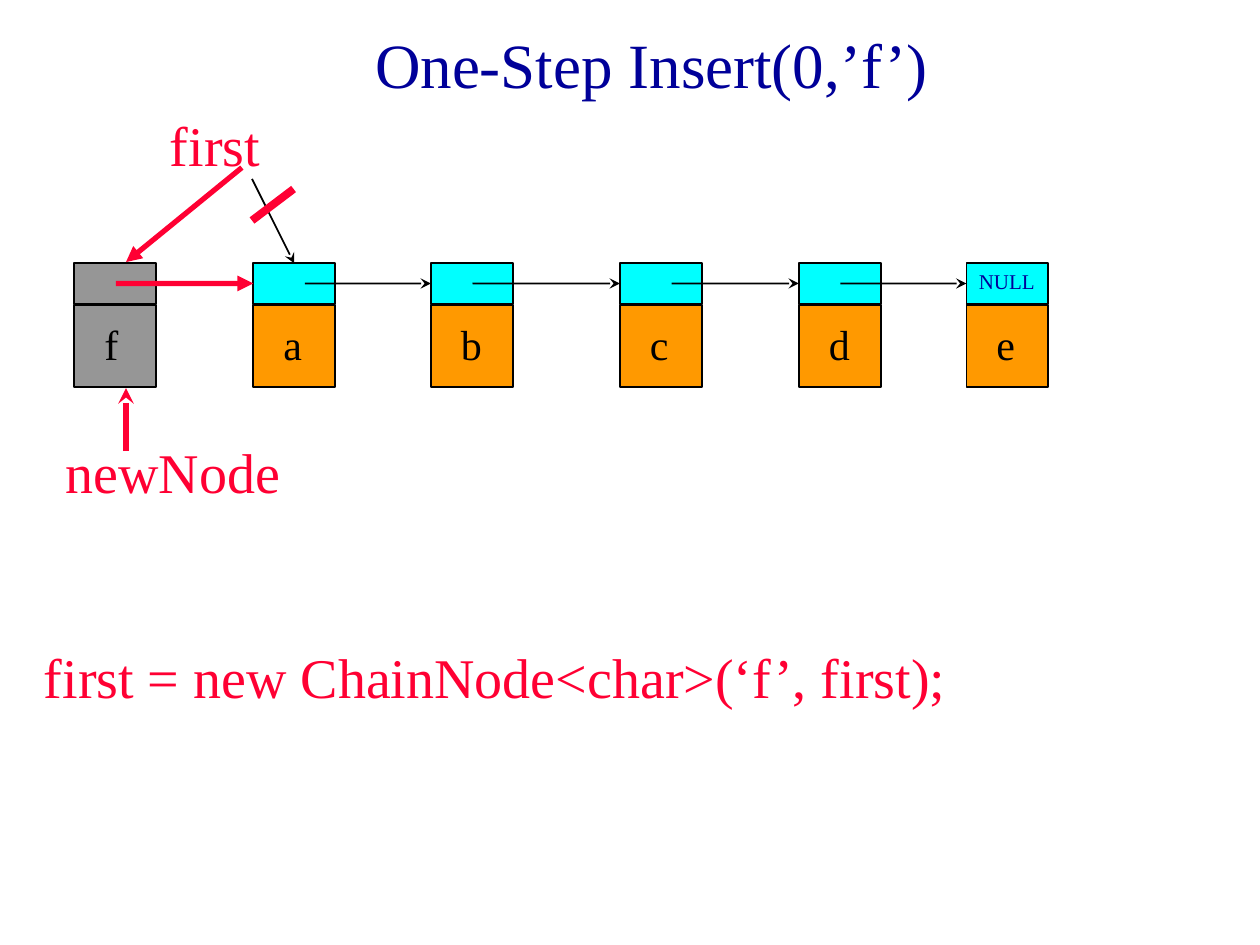
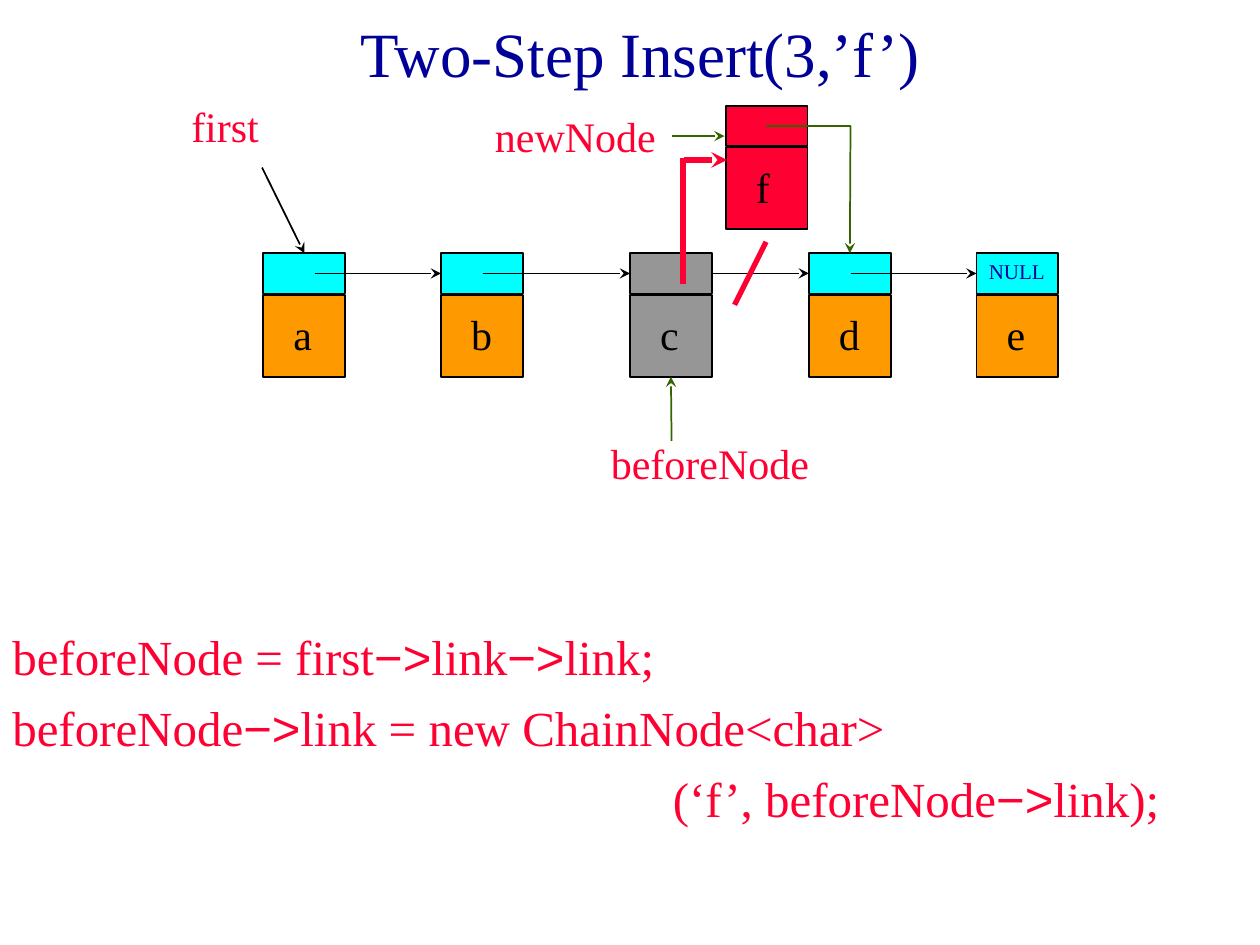
from dataclasses import dataclass
from typing import Optional

import pptx
import pptx.dml.color
import pptx.enum.shapes
import pptx.enum.text
import pptx.util
from lxml import etree
from pptx.oxml.ns import qn

Inches = pptx.util.Inches
Point = tuple[float, float]


@dataclass(frozen=True)
class Theme:
    font: str = "Times New Roman"
    arrow_font: str = "Arial"
    navy: str = "000099"
    red: str = "FF0033"
    black: str = "000000"
    green: str = "336600"
    orange: str = "FF9900"
    cyan: str = "00FFFF"
    grey: str = "969696"
    title_size: float = 36
    large: float = 32
    code: float = 28
    medium: float = 24
    small: float = 12
    thin: float = 1
    thick: float = 3
    strike: float = 4.5


THEME = Theme()
LINK_SIGN = "−>"
CELL_WIDTH = 0.65
LINK_HEIGHT = 0.32
DATA_OFFSET = 0.33


@dataclass(frozen=True)
class Node:
    letter: str
    left: float
    link_start: float = 0.33  # where the outgoing link begins, from the left side
    data_fill: str = THEME.orange
    link_fill: str = THEME.cyan


@dataclass(frozen=True)
class Line:
    start: Point
    end: Point
    color: str = THEME.black
    width: float = THEME.thin
    head: Optional[str] = None


CHAIN = (
    Node("a", 2.01, 0.41),
    Node("b", 3.42),
    Node("c", 4.92, 0.41),
    Node("d", 6.34),
    Node("e", 7.67),
)


def rgb(color: str) -> pptx.dml.color.RGBColor:
    return pptx.dml.color.RGBColor.from_string(color)


def add_text(page, text: str, left: float, top: float, width: float, height: float, *,
             size: float, color: str = THEME.red, align: str = "LEFT",
             anchor: str = "TOP", wrap: bool = True, space_before: float = 0):
    """Write one paragraph per line, with link signs in the arrow font."""
    box = page.shapes.add_textbox(Inches(left), Inches(top), Inches(width), Inches(height))
    frame = box.text_frame
    frame.word_wrap = wrap
    frame.vertical_anchor = pptx.enum.text.MSO_ANCHOR[anchor]
    for index, line in enumerate(text.split("\n")):
        para = frame.add_paragraph() if index else frame.paragraphs[0]
        para.alignment = pptx.enum.text.PP_ALIGN[align]
        if index:
            para.space_before = pptx.util.Pt(space_before)
        for position, part in enumerate(line.split(LINK_SIGN)):
            pieces = [(part, THEME.font)]
            if position:
                pieces.insert(0, (LINK_SIGN, THEME.arrow_font))
            for words, font in pieces:
                span = para.add_run()
                span.text = words
                span.font.name = font
                span.font.size = pptx.util.Pt(size)
                span.font.color.rgb = rgb(color)
    return box


def add_line(page, line: Line):
    ends = [Inches(value) for value in (*line.start, *line.end)]
    connector = page.shapes.add_connector(pptx.enum.shapes.MSO_CONNECTOR.STRAIGHT, *ends)
    connector.line.color.rgb = rgb(line.color)
    connector.line.width = pptx.util.Pt(line.width)
    if line.head:
        outline = connector.line._get_or_add_ln()
        etree.SubElement(outline, qn("a:tailEnd")).set("type", line.head)
    etree.SubElement(connector._element.spPr, qn("a:effectLst"))
    return connector


def add_cell(page, left: float, top: float, height: float, fill: str):
    cell = page.shapes.add_shape(pptx.enum.shapes.MSO_SHAPE.RECTANGLE, Inches(left),
                                 Inches(top), Inches(CELL_WIDTH), Inches(height))
    cell.shadow.inherit = False
    cell.fill.solid()
    cell.fill.fore_color.rgb = rgb(fill)
    cell.line.color.rgb = rgb(THEME.black)
    cell.line.width = pptx.util.Pt(THEME.thin)
    return cell


def add_node(page, node: Node, top: float):
    """Draw a node and return its link cell and its data cell."""
    data = add_cell(page, node.left, top + DATA_OFFSET, CELL_WIDTH, node.data_fill)
    link = add_cell(page, node.left, top, LINK_HEIGHT, node.link_fill)
    add_text(page, node.letter, node.left + 0.14, top + 0.39, 0.35, 0.5,
             size=THEME.medium, color=THEME.black, wrap=False)
    return link, data


def add_chain(page, top: float, shift: float = 0, before: str = ""):
    """Draw the linked nodes, with the node named by before in grey."""
    nodes, cells = [], {}
    for base in CHAIN:
        fills = (THEME.grey, THEME.grey) if base.letter == before else (base.data_fill, base.link_fill)
        node = Node(base.letter, base.left + shift, base.link_start, *fills)
        nodes.append(node)
        cells[node.letter] = add_node(page, node, top)
    middle = top + LINK_HEIGHT / 2
    for node, target in zip(nodes, nodes[1:]):
        arrow = add_line(page, Line((node.left + node.link_start, middle),
                                    (target.left, middle), head="stealth"))
        if node.letter == before:
            arrow.begin_connect(cells[node.letter][0], 3)
        arrow.end_connect(cells[target.letter][0], 1)
    add_text(page, "NULL", nodes[-1].left, top - 0.01, 0.67, 0.3,
             size=THEME.small, color=THEME.navy)
    return cells


def add_page(deck, title: str, left: float, height: float):
    page = deck.slides.add_slide(deck.slide_layouts[6])
    add_text(page, title, left, 0, 8.5, height, size=THEME.title_size,
             color=THEME.navy, align="CENTER", anchor="MIDDLE")
    return page


def build_one_step(deck) -> None:
    page = add_page(deck, "One-Step Insert(0,’f’)", 0.92, 1)
    top = 2.09
    cells = add_chain(page, top)
    add_text(page, "first", 1.25, 0.83, 2, 0.63, size=THEME.large)
    first_arrow = add_line(page, Line((2, 1.42), (2.33, top), head="stealth"))
    first_arrow.end_connect(cells["a"][0], 0)

    add_node(page, Node("f", 0.59, data_fill=THEME.grey, link_fill=THEME.grey), top)
    new_link = add_line(page, Line((0.92, 2.25), (2, 2.25), THEME.red, THEME.thick, "triangle"))
    new_link.end_connect(cells["a"][0], 1)
    add_text(page, "newNode", 0.42, 3.42, 2, 0.63, size=THEME.large)
    for line in (
        Line((1, 3.58), (1, 3.08), THEME.red, THEME.thick, "stealth"),
        Line((2.33, 1.5), (2, 1.75), THEME.red, THEME.strike),
        Line((1.92, 1.33), (1, 2.08), THEME.red, THEME.thick, "triangle"),
    ):
        add_line(page, line)
    add_text(page, "first = new ChainNode<char>(‘f’, first);", 0.25, 5.05, 9.5, 0.63,
             size=THEME.large)


def build_two_step(deck) -> None:
    page = add_page(deck, "Two-Step Insert(3,’f’)", 0.83, 0.83)
    code = "\n".join((
        "beforeNode = first−>link−>link;",
        "beforeNode−>link = new ChainNode<char>",
        " " * 54 + "(‘f’, beforeNode−>link);",
    ))
    add_text(page, code, 0, 4.92, 10, 2.26, size=THEME.code, space_before=7)

    top = 2.01
    cells = add_chain(page, top, shift=0.08, before="c")
    add_node(page, Node("f", 5.76, data_fill=THEME.red, link_fill=THEME.red), 0.84)
    for label, left, label_top, width in (
        ("first", 1.42, 0.75, 1.83),
        ("newNode", 3.83, 0.83, 1.67),
        ("beforeNode", 4.75, 3.42, 2),
    ):
        add_text(page, label, left, label_top, width, 0.5, size=THEME.medium)

    link_a, link_d, data_c = cells["a"][0], cells["d"][0], cells["c"][1]
    for line, target, side in (
        (Line((2.08, 1.33), (2.42, top), head="stealth"), link_a, 0),
        (Line((6.75, 1), (6.75, top), THEME.green, head="stealth"), link_d, 0),
        (Line((5.33, 3.5), (5.33, 3), THEME.green, head="stealth"), data_c, 2),
    ):
        add_line(page, line).end_connect(target, side)
    for line in (
        Line((6.08, 1), (6.75, 1), THEME.green),
        Line((5.33, 1.08), (5.75, 1.08), THEME.green, head="stealth"),
        Line((6.08, 1.92), (5.83, 2.42), THEME.red, THEME.thick),
        Line((5.42, 2.25), (5.42, 1.25), THEME.red, THEME.thick),
        Line((5.43, 1.27), (5.77, 1.27), THEME.red, THEME.thick, "stealth"),
    ):
        add_line(page, line)


def main() -> None:
    deck = pptx.Presentation()
    deck.slide_width, deck.slide_height = Inches(10), Inches(7.5)
    build_one_step(deck)
    build_two_step(deck)
    deck.save("out.pptx")


if __name__ == "__main__":
    main()
